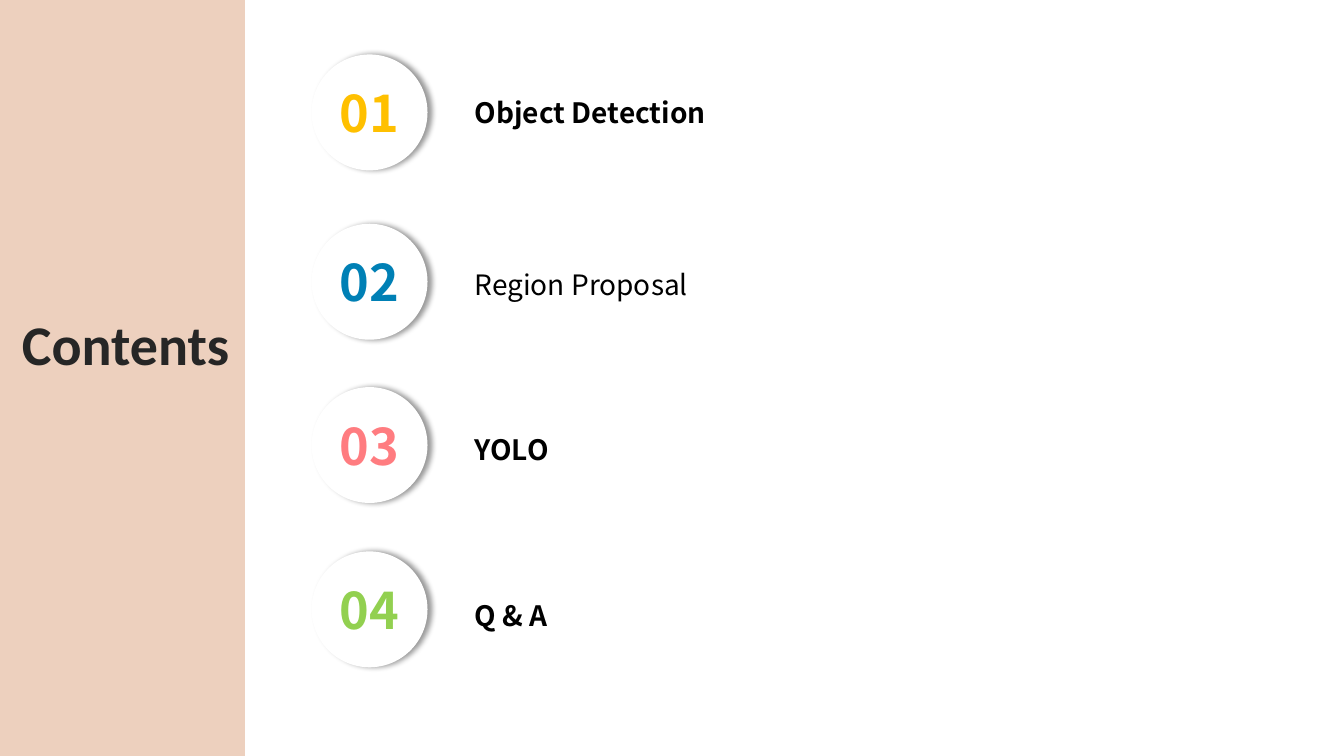
"""Build a contents slide with four numbered topics beside a coloured side panel."""
import pptx
import pptx.dml.color
import pptx.enum.shapes
import pptx.enum.text
import pptx.oxml
import pptx.oxml.ns
import pptx.util
from pptx.util import Inches

TOPICS = [
    ("Object Detection", "FFC000", True, 0.54, 0.73),
    ("Region Proposal", "0080B5", False, 2.22, 2.44),
    ("YOLO", "FF7C80", True, 3.84, 4.08),
    ("Q & A", "92D050", True, 5.47, 5.72),
]
TITLE = "Contents"
TOPIC_FONT = "Noto Sans CJK KR"
CIRCLE_LEFT, CIRCLE_SIZE = 3.09, 1.15
LABEL_LEFT, LABEL_WIDTH, LABEL_HEIGHT = 4.61, 4.56, 0.56
SHADOW = (
    f'<a:effectLst {pptx.oxml.ns.nsdecls("a")}>'
    '<a:outerShdw blurRad="50800" dist="38100" dir="0" algn="l" rotWithShape="0">'
    '<a:srgbClr val="000000"><a:alpha val="40000"/></a:srgbClr>'
    '</a:outerShdw></a:effectLst>'
)
SHAPES = pptx.enum.shapes.MSO_SHAPE
ALIGN = pptx.enum.text.PP_ALIGN


def color(value):
    return pptx.dml.color.RGBColor.from_string(value)


def add_filled(slide, kind, box, fill):
    shape = slide.shapes.add_shape(kind, *map(Inches, box))
    shape.shadow.inherit = False
    shape.fill.solid()
    shape.fill.fore_color.rgb = color(fill)
    shape.line.fill.background()
    return shape


def write(shape, text, font, size, value, bold, align=ALIGN.LEFT, spacing=None):
    paragraph = shape.text_frame.paragraphs[0]
    paragraph.text = text
    paragraph.alignment = align
    paragraph.line_spacing = spacing
    paragraph.font.name = font
    paragraph.font.size = pptx.util.Pt(size)
    paragraph.font.bold = bold
    paragraph.font.color.rgb = color(value)


def add_label(slide, box, *style):
    label = slide.shapes.add_textbox(*map(Inches, box))
    label.text_frame.word_wrap = True
    label.text_frame.auto_size = pptx.enum.text.MSO_AUTO_SIZE.SHAPE_TO_FIT_TEXT
    write(label, *style)


def add_number(slide, top, text, value):
    box = (CIRCLE_LEFT, top, CIRCLE_SIZE, CIRCLE_SIZE)
    circle = add_filled(slide, SHAPES.OVAL, box, "FFFFFF")
    properties = circle.element.spPr
    empty_effects = properties.find(pptx.oxml.ns.qn("a:effectLst"))
    properties.replace(empty_effects, pptx.oxml.parse_xml(SHADOW))
    circle.text_frame.vertical_anchor = pptx.enum.text.MSO_ANCHOR.MIDDLE
    write(circle, text, TOPIC_FONT, 36, value, True, ALIGN.CENTER)


def main():
    presentation = pptx.Presentation()
    presentation.slide_width = Inches(13.33)
    presentation.slide_height = Inches(7.5)
    slide = presentation.slides.add_slide(presentation.slide_layouts[6])
    add_filled(slide, SHAPES.RECTANGLE, (0, 0, 2.43, 7.5), "EDD0BE")
    for number, (topic, value, bold, circle_top, label_top) in enumerate(TOPICS, 1):
        add_number(slide, circle_top, f"{number:02}", value)
        box = (LABEL_LEFT, label_top, LABEL_WIDTH, LABEL_HEIGHT)
        align = ALIGN.JUSTIFY if bold else ALIGN.LEFT
        add_label(slide, box, topic, TOPIC_FONT, 20, "000000", bold, align, 1.5)
    add_label(slide, (0.12, 3.02, 3.23, 0.77), TITLE, "Calibri", 40, "262626", True)
    presentation.save("out.pptx")


if __name__ == "__main__":
    main()
